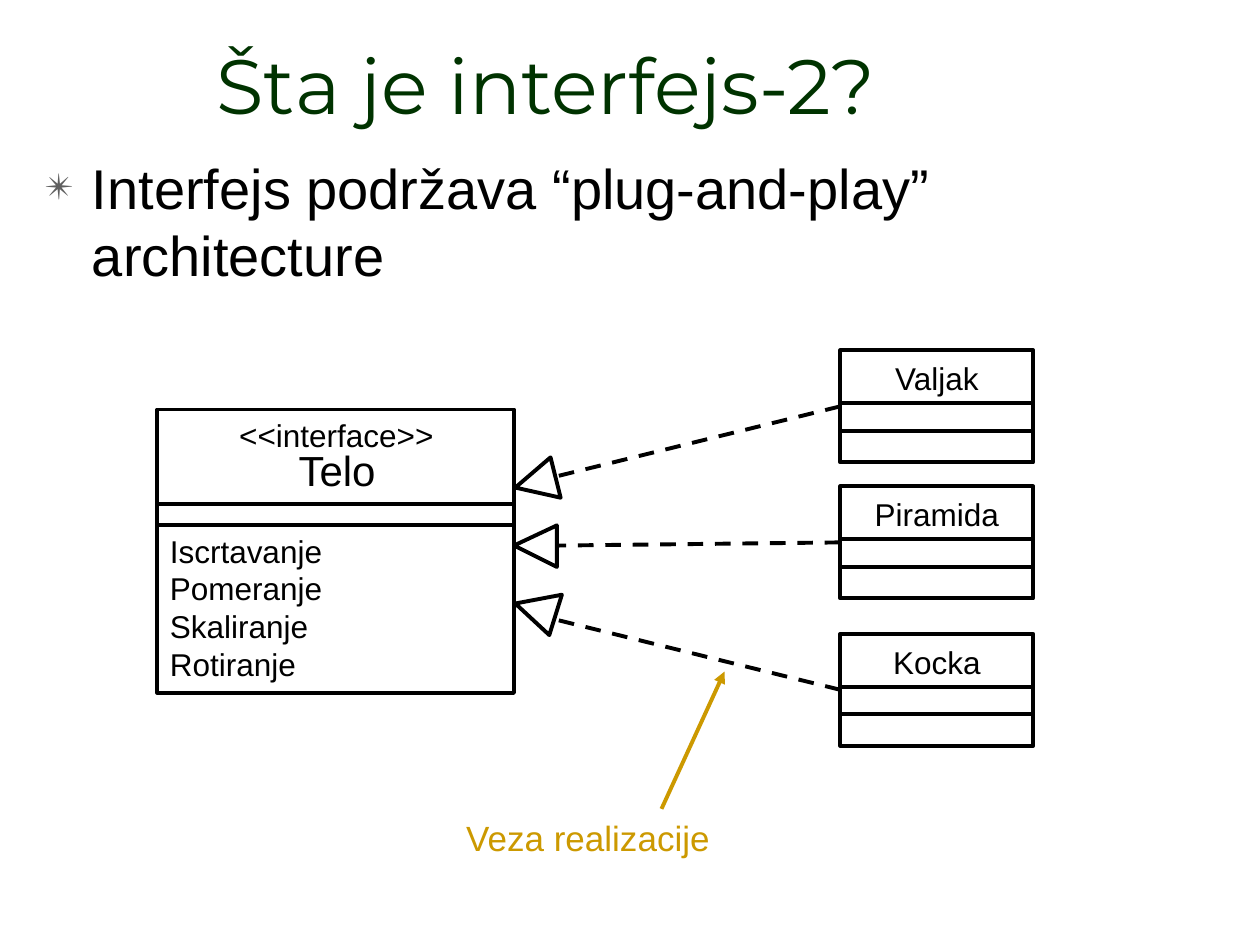
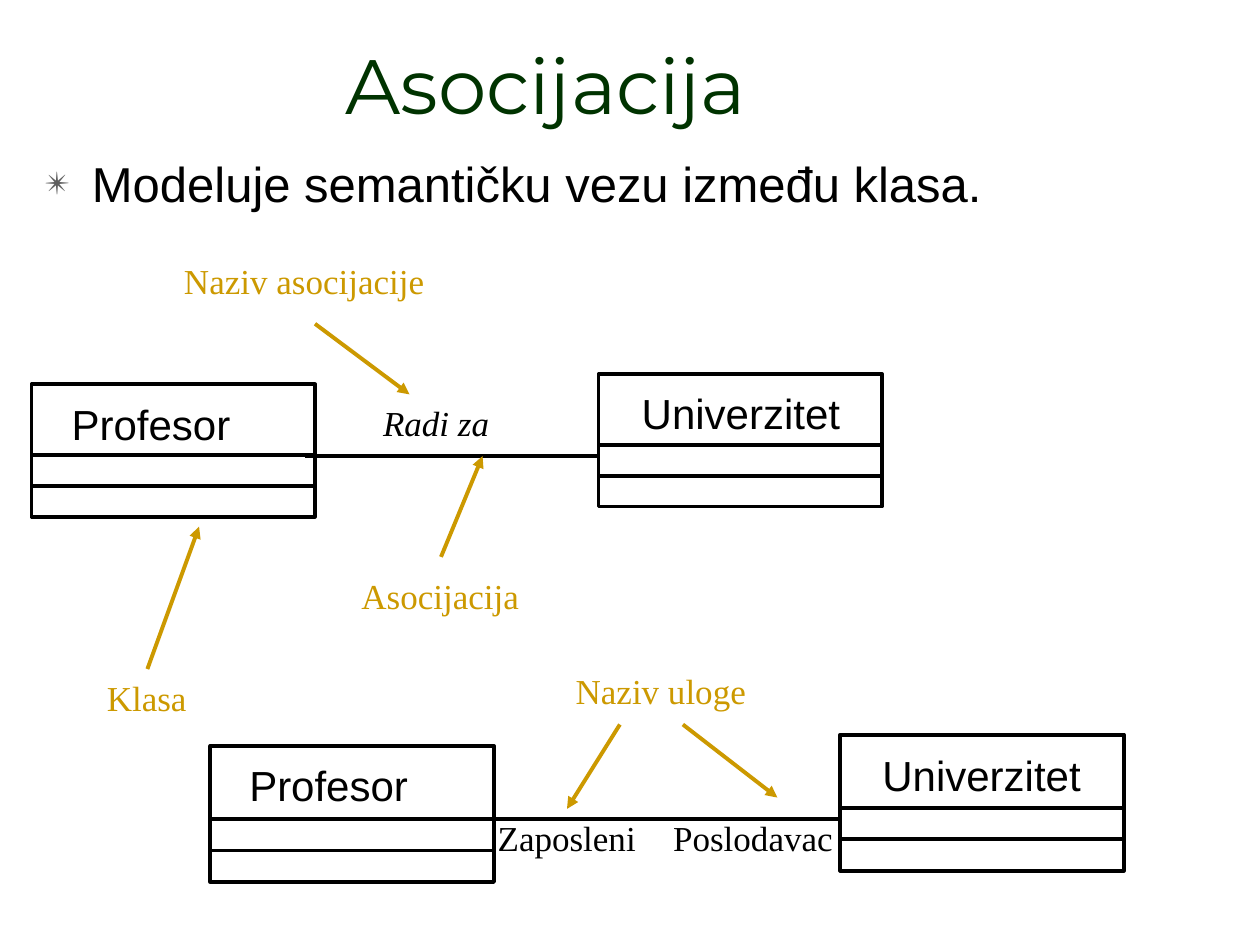
import pptx
import pptx.dml.color
import pptx.enum.dml
import pptx.enum.shapes
import pptx.enum.text
import pptx.oxml.ns
import pptx.util
from lxml import etree

Inches = pptx.util.Inches
Pt = pptx.util.Pt
RGB = pptx.dml.color.RGBColor.from_string
Align = pptx.enum.text.PP_ALIGN
qn = pptx.oxml.ns.qn

INK = {"black": "000000", "gold": "CC9900", "green": "003300", "gray": "5F5F5F"}
SANS, SERIF, HEAD = "Arial", "Times New Roman", "Montserrat"
WIDE, SLIM, NONE = (0.12, 0.06), (0.1, 0.05), (0, 0)
STROKE = Pt(2.25)


def write(slide, at, text, size, font=SANS, tint="black", align=Align.CENTER, pad=SLIM):
    box = slide.shapes.add_textbox(*map(Inches, at))
    frame = box.text_frame
    frame.word_wrap = pad != NONE
    frame.margin_left = frame.margin_right = Inches(pad[0])
    frame.margin_top = frame.margin_bottom = Inches(pad[1])
    frame.text = text
    for para in frame.paragraphs:
        para.alignment = align
        para.font.size = Pt(size)
        para.font.name = font
        para.font.color.rgb = RGB(INK[tint])
    return box


def link(slide, start, end, tint="black", arrow=False):
    line = slide.shapes.add_connector(
        pptx.enum.shapes.MSO_CONNECTOR.STRAIGHT, *map(Inches, (*start, *end)))
    line.line.width = STROKE
    line.line.color.rgb = RGB(INK[tint])
    if arrow:
        etree.SubElement(line.line._get_or_add_ln(), qn("a:tailEnd"), type="triangle")
    etree.SubElement(line._element.spPr, qn("a:effectLst"))
    return line


deck = pptx.Presentation()
deck.slide_width, deck.slide_height = Inches(10), Inches(7.5)

slides = []
for title, point, size, high in [
    ("Šta je interfejs-2?", "Interfejs podržava “plug-and-play” architecture", 32, 1.25),
    ("Asocijacija", "Modeluje semantičku vezu između klasa.", 28, 0.58),
]:
    slide = deck.slides.add_slide(deck.slide_layouts[1])
    slides.append(slide)
    head, body = slide.placeholders
    for holder, text, top, tall, pts, font, tint in [
        (head, title, 0.25, 0.83, 44, HEAD, "green"),
        (body, point, 1.17, high, size, SANS, "black"),
    ]:
        holder.left, holder.top = Inches(0.25), Inches(top)
        holder.width, holder.height = Inches(8.17 if holder is head else 8.25), Inches(tall)
        frame = holder.text_frame
        frame.text = text
        frame.auto_size = pptx.enum.text.MSO_AUTO_SIZE.NONE
        para = frame.paragraphs[0]
        para.space_before = Pt(0)
        if holder is body:
            props = para._p.get_or_add_pPr()
            props.set("marL", str(Inches(0.38)))
            props.set("indent", str(Inches(-0.38)))
            tone = etree.SubElement(props, qn("a:buClr"))
            etree.SubElement(tone, qn("a:srgbClr"), val=INK["gray"])
            etree.SubElement(props, qn("a:buSzPct"), val="65000")
            etree.SubElement(props, qn("a:buChar"), char="✴")
        para.font.size = Pt(pts)
        para.font.name = font
        para.font.color.rgb = RGB(INK[tint])
    head.text_frame.vertical_anchor = pptx.enum.text.MSO_ANCHOR.BOTTOM
    head.text_frame.paragraphs[0].alignment = Align.CENTER

first, second = slides

boxes = []
for slide, left, top, wide, high, rules in [
    (first, 6.67, 2.78, 1.53, 0.89, (0.42, 0.64)),
    (first, 6.67, 3.86, 1.53, 0.89, (0.42, 0.64)),
    (first, 6.67, 5.03, 1.53, 0.89, (0.42, 0.64)),
    (first, 1.25, 3.25, 2.83, 2.25, (0.75, 0.92)),
    (second, 0.25, 3.05, 2.25, 1.05, (0.56, 0.81)),
    (second, 4.75, 2.97, 2.25, 1.05, (0.56, 0.81)),
    (second, 1.67, 5.92, 2.25, 1.08, (0.58, 0.83)),
    (second, 6.67, 5.83, 2.25, 1.08, (0.58, 0.83)),
]:
    box = slide.shapes.add_shape(
        pptx.enum.shapes.MSO_SHAPE.RECTANGLE, *map(Inches, (left, top, wide, high)))
    box.shadow.inherit = False
    box.fill.background()
    box.line.width = STROKE
    box.line.color.rgb = RGB(INK["black"])
    boxes.append(box)
    for rule in rules:
        link(slide, (left, top + rule), (left + wide, top + rule))

for box, name, top, end, tip in [
    (boxes[0], "Valjak", 2.85, (4.42, 3.78), [(4.37, 3.63), (4.09, 3.87), (4.45, 3.95)]),
    (boxes[1], "Piramida", 3.93, (4.42, 4.33), [(4.42, 4.17), (4.08, 4.33), (4.42, 4.5)]),
    (boxes[2], "Kocka", 5.1, (4.42, 4.92), [(4.46, 4.72), (4.09, 4.79), (4.36, 5.04)]),
]:
    write(first, (6.94, top, 0.99, 0.3), name, 18, pad=NONE)
    line = link(first, (6.67, top + 0.4), end)
    line.line.dash_style = pptx.enum.dml.MSO_LINE.DASH
    line.begin_connect(box, 1)
    path = first.shapes.build_freeform(*map(Inches, tip[0]), scale=1.0)
    path.add_line_segments([tuple(map(Inches, spot)) for spot in tip[1:]], close=True)
    head = path.convert_to_shape()
    head.shadow.inherit = False
    head.fill.background()
    head.line.width = STROKE
    head.line.color.rgb = RGB(INK["black"])

write(first, (2.35, 3.53, 0.65, 0.4), "Telo", 24, pad=NONE)
write(first, (1.25, 4.17, 2.83, 1.3), "Iscrtavanje\nPomeranje\nSkaliranje\nRotiranje", 18,
      align=Align.LEFT)
write(first, (1.46, 3.25, 2.42, 0.4), "<<interface>>", 18)
write(first, (3.58, 6.42, 2.42, 0.45), "Veza realizacije", 20, tint="gold",
      align=Align.LEFT, pad=WIDE)

for left, top, name, align in [
    (0.47, 3.11, "Profesor", Align.LEFT),
    (4.97, 3.03, "Univerzitet", Align.CENTER),
    (1.88, 5.98, "Profesor", Align.LEFT),
    (6.88, 5.9, "Univerzitet", Align.CENTER),
]:
    write(second, (left, top, 1.82, 0.5), name, 24, align=align)

link(second, (2.42, 3.62), (4.75, 3.62))
link(second, (3.92, 6.5), (6.67, 6.5))

for left, top, name, align in [
    (2.92, 3.13, "Radi za", Align.LEFT),
    (5, 6.42, "Poslodavac", Align.RIGHT),
    (3.83, 6.42, "Zaposleni", Align.LEFT),
]:
    role = write(second, (left, top, 1.73, 0.45), name, 20, SERIF, align=align, pad=WIDE)
    if name == "Radi za":
        role.text_frame.paragraphs[0].font.italic = True

for left, top, name in [
    (0, 5.31, "Klasa"),
    (2.33, 4.5, "Asocijacija"),
    (1.25, 2, "Naziv asocijacije"),
    (4.08, 5.25, "Naziv uloge"),
]:
    write(second, (left, top, 2.33, 0.45), name, 20, SERIF, "gold", pad=WIDE)

for slide, start, end in [
    (first, (5.25, 6.42), (5.75, 5.33)),
    (second, (1.17, 5.31), (1.58, 4.18)),
    (second, (3.5, 4.42), (3.83, 3.62)),
    (second, (2.5, 2.57), (3.25, 3.13)),
    (second, (5.42, 5.75), (6.17, 6.33)),
    (second, (4.92, 5.75), (4.5, 6.42)),
]:
    link(slide, start, end, "gold", arrow=True)

deck.save("out.pptx")
